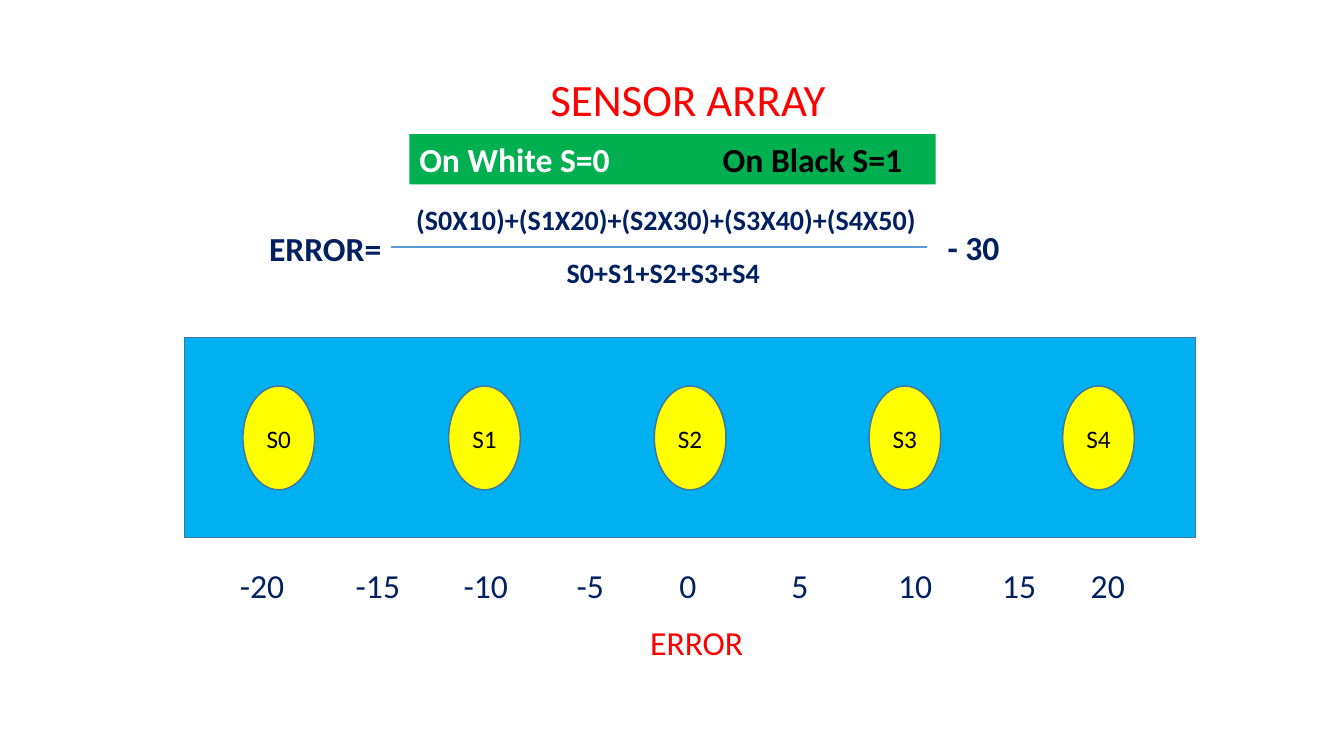
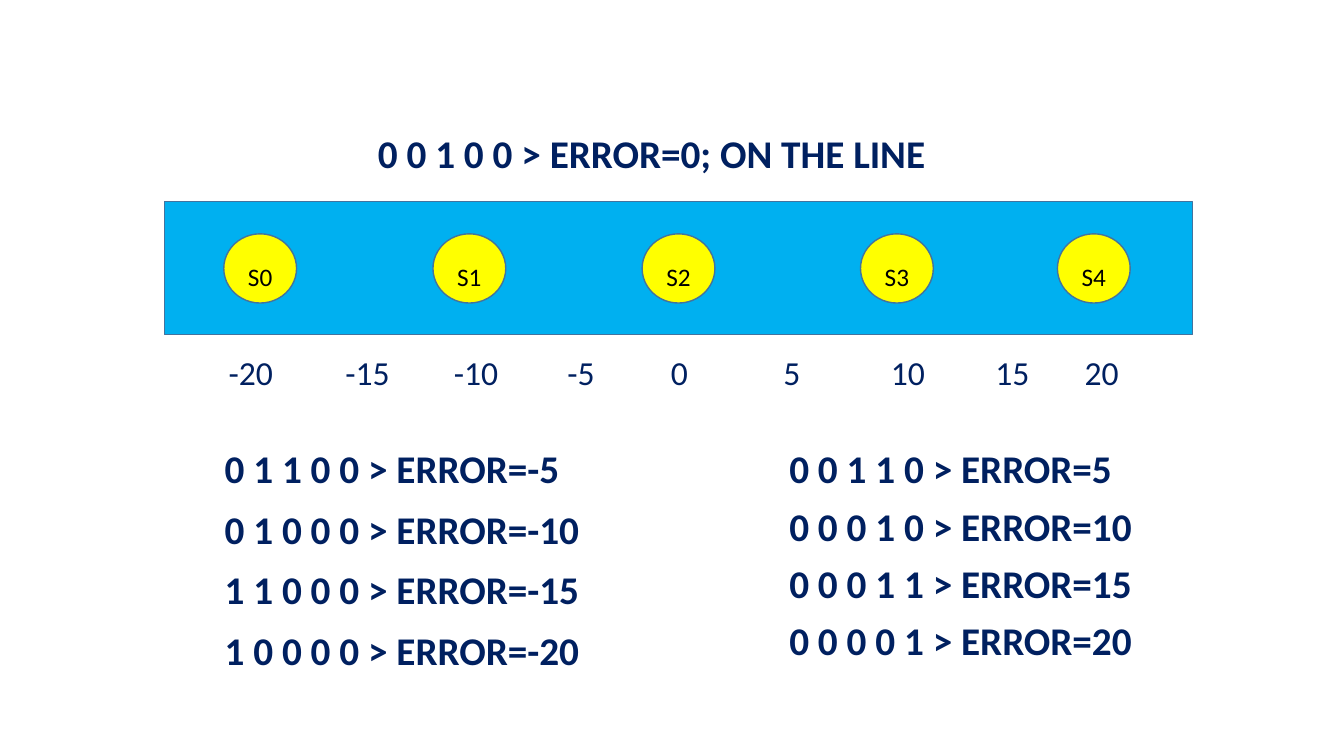
from dataclasses import dataclass

from lxml import etree
from pptx import Presentation
from pptx.dml.color import RGBColor
from pptx.enum.shapes import MSO_CONNECTOR, MSO_SHAPE
from pptx.enum.text import MSO_ANCHOR, PP_ALIGN
from pptx.oxml.ns import qn
from pptx.util import Pt

RECT = MSO_SHAPE.RECTANGLE
OVAL = MSO_SHAPE.OVAL
STRAIGHT = MSO_CONNECTOR.STRAIGHT
LEFT = PP_ALIGN.LEFT
CENTER = PP_ALIGN.CENTER
TOP = MSO_ANCHOR.TOP
MIDDLE = MSO_ANCHOR.MIDDLE
PX = 9144


@dataclass(frozen=True)
class Theme:
    font: str = "Calibri"
    navy: str = "002060"
    red: str = "FF0000"
    green: str = "00B050"
    blue: str = "00B0F0"
    yellow: str = "FFFF00"
    edge: str = "43739E"
    rule: str = "5B9BD5"
    white: str = "FFFFFF"
    black: str = "000000"
    title: int = 32
    code: int = 28
    body: int = 24
    term: int = 20
    label: int = 18


theme = Theme()


def write(shape, runs, size, bold=False, align=LEFT, anchor=TOP):
    frame = shape.text_frame
    frame.word_wrap = True
    frame.vertical_anchor = anchor
    para = frame.paragraphs[0]
    para.alignment = align
    for text, color in runs:
        run = para.add_run()
        run.text = text
        run.font.name = theme.font
        run.font.size = Pt(size)
        run.font.bold = bold
        run.font.color.rgb = RGBColor.from_string(color)
    return para


def draw(slide, kind, place, fill, edge=None):
    shape = slide.shapes.add_shape(kind, *[round(n * PX) for n in place])
    shape.shadow.inherit = False
    shape.fill.solid()
    shape.fill.fore_color.rgb = RGBColor.from_string(fill)
    if edge:
        shape.line.color.rgb = RGBColor.from_string(edge)
        shape.line.width = Pt(1)
    else:
        shape.line.fill.background()
    return shape


deck = Presentation()
deck.slide_width = 1333 * PX
deck.slide_height = 750 * PX
blank = deck.slide_layouts[6]
array = deck.slides.add_slide(blank)
codes = deck.slides.add_slide(blank)

base_wide, base_high = 1003, 198
spots = [58, 262, 466, 679, 871]
marks = [0, 115, 222, 334, 436, 547, 653, 756, 844]
errors = range(-20, 25, 5)
panels = [
    (array, 183, 335, base_wide, base_high, 0, 228, 556, 844),
    (codes, 163, 200, 1020, 132, 16, 217, 344, 849),
]
for slide, left, top, wide, high, drop, start, row, span in panels:
    draw(slide, RECT, (left, top, wide, high), theme.blue, theme.edge)
    grow, tall = wide / base_wide, high / base_high
    for num, spot in enumerate(spots):
        place = (left + spot * grow, top + 48 * tall, 71 * grow, 103 * tall)
        sensor = draw(slide, OVAL, place, theme.yellow, theme.edge)
        frame = sensor.text_frame
        frame.margin_left = frame.margin_right = frame.margin_bottom = 0
        frame.margin_top = drop * PX
        write(sensor, [(f"S{num}", theme.black)], theme.label,
              align=CENTER, anchor=MIDDLE)
    for error, mark in zip(errors, marks):
        place = start + mark * span / marks[-1]
        box = slide.shapes.add_textbox(round(place * PX), row * PX, 80 * PX, 50 * PX)
        write(box, [(str(error), theme.navy)], theme.body)

banner = draw(array, RECT, (406, 133, 522, 50), theme.green)
para = write(banner, [("On White S=0\t", theme.white), ("On Black S=1", theme.black)],
             theme.body, True)
props = para._p.get_or_add_pPr()
tabs = etree.SubElement(props, qn("a:tabLst"))
etree.SubElement(tabs, qn("a:tab"), pos=str(301 * PX), algn="l")

rule = array.shapes.add_connector(STRAIGHT, 388 * PX, 245 * PX, 919 * PX, 245 * PX)
rule.line.color.rgb = RGBColor.from_string(theme.rule)
rule.line.width = Pt(2)
etree.SubElement(rule._element.spPr, qn("a:effectLst"))

texts = [
    (array, "SENSOR ARRAY", 477, 66, 411, 64, theme.title, theme.red, False, CENTER),
    (array, "ERROR", 635, 612, 174, 50, theme.body, theme.red, False, LEFT),
    (array, "(S0X10)+(S1X20)+(S2X30)+(S3X40)+(S4X50)", 403, 196, 540, 43,
     theme.term, theme.navy, True, LEFT),
    (array, "S0+S1+S2+S3+S4", 400, 249, 516, 43, theme.term, theme.navy, True, CENTER),
    (array, "ERROR=", 257, 221, 143, 50, theme.body, theme.navy, True, LEFT),
    (array, "- 30", 930, 220, 90, 50, theme.body, theme.navy, True, LEFT),
    (codes, "0 0 1 0 0 > ERROR=0; ON THE LINE", 365, 123, 600, 57,
     theme.code, theme.navy, True, LEFT),
]
columns = [
    (213, 60, ["0 1 1 0 0 > ERROR=-5", "0 1 0 0 0 > ERROR=-10",
               "1 1 0 0 0 > ERROR=-15", "1 0 0 0 0 > ERROR=-20"]),
    (773, 57, ["0 0 1 1 0 > ERROR=5", "0 0 0 1 0 > ERROR=10",
               "0 0 0 1 1 > ERROR=15", "0 0 0 0 1 > ERROR=20"]),
]
for left, step, lines in columns:
    for num, line in enumerate(lines):
        texts.append((codes, line, left, 436 + num * step, 404, 57,
                      theme.code, theme.navy, True, LEFT))

for slide, text, left, top, wide, high, size, color, bold, align in texts:
    box = slide.shapes.add_textbox(left * PX, top * PX, wide * PX, high * PX)
    write(box, [(text, color)], size, bold, align)

deck.save("out.pptx")
